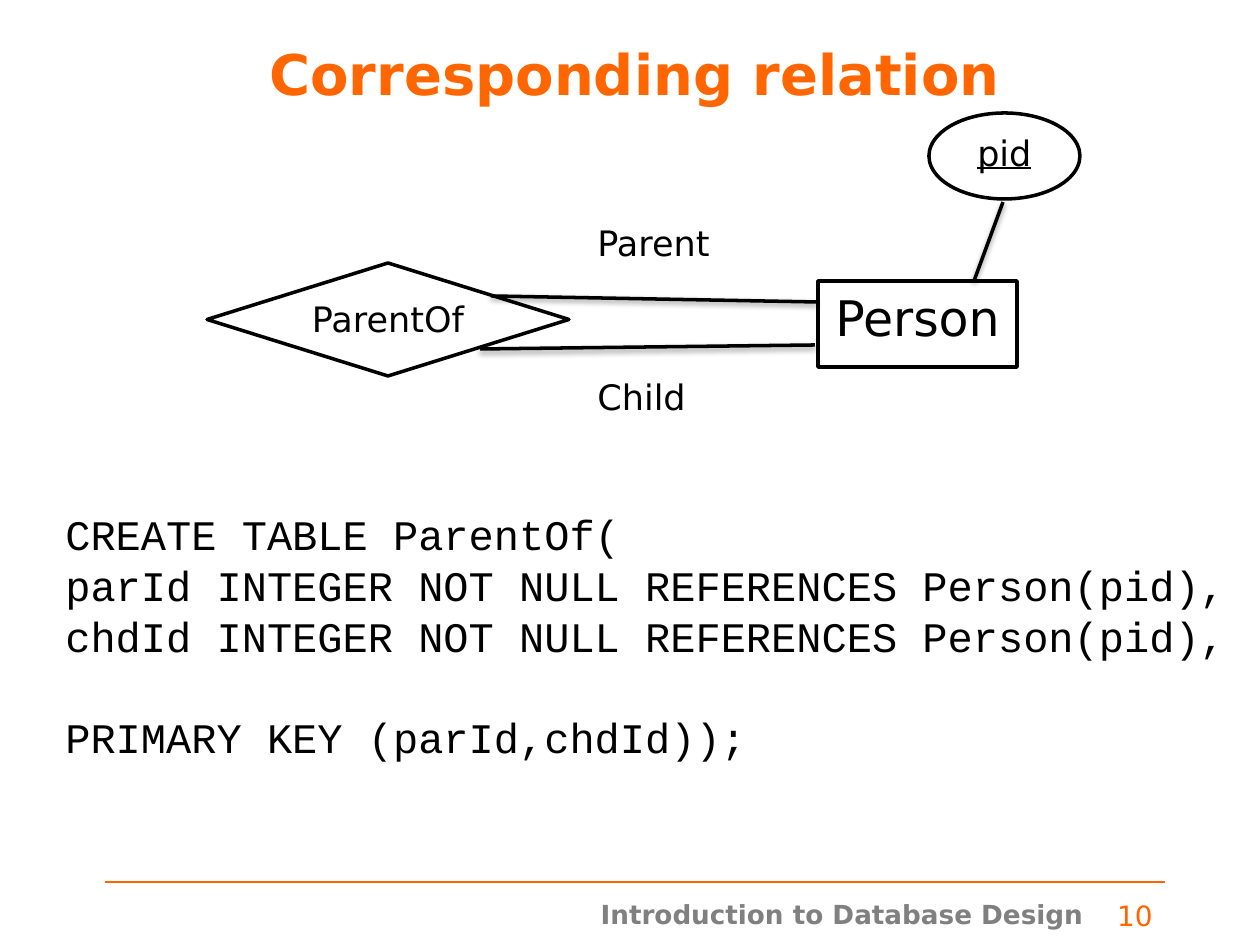
from lxml.etree import SubElement
from pptx import Presentation
from pptx.dml.color import RGBColor
from pptx.enum.shapes import MSO_CONNECTOR as Connector, MSO_SHAPE as Shape
from pptx.enum.text import MSO_ANCHOR as Anchor, PP_ALIGN as Align
from pptx.oxml.ns import qn
from pptx.util import Pt

EMU_PER_PX = 914400 / 126
ORANGE, GREY, BLACK, WHITE = "FF6600", "808080", "000000", "FFFFFF"
SANS, MONO = "DejaVu Sans", "Courier New"


def px(*lengths):
    return [round(length * EMU_PER_PX) for length in lengths]


def color(hex_string):
    return RGBColor.from_string(hex_string)


def add_run(paragraph, text, size, ink=BLACK, font=SANS, bold=False, underline=False):
    run = paragraph.add_run()
    run.text = text
    run.font.name = font
    run.font.size = Pt(size)
    run.font.bold = bold
    run.font.underline = underline
    run.font.color.rgb = color(ink)


def add_line(slide, start, end, ink=BLACK, width=2, shadow=False):
    line = slide.shapes.add_connector(Connector.STRAIGHT, *px(*start, *end))
    line.line.color.rgb = color(ink)
    line.line.width = Pt(width)
    effects = SubElement(line._element.spPr, qn("a:effectLst"))
    if shadow:
        outer = SubElement(effects, qn("a:outerShdw"), blurRad="40000", dist="20000",
                           dir="5400000", rotWithShape="0")
        shade = SubElement(outer, qn("a:srgbClr"), val=BLACK)
        SubElement(shade, qn("a:alpha"), val="38000")


def add_node(slide, kind, box, text, size=20, outline=BLACK, align=Align.CENTER,
             underline=False):
    node = slide.shapes.add_shape(kind, *px(*box))
    node.shadow.inherit = False
    node.fill.solid()
    node.fill.fore_color.rgb = color(WHITE)
    node.line.color.rgb = color(outline)
    node.line.width = Pt(2)
    node.text_frame.word_wrap = True
    node.text_frame.vertical_anchor = Anchor.TOP
    paragraph = node.text_frame.paragraphs[0]
    paragraph.alignment = align
    add_run(paragraph, text, size, underline=underline)


def add_text_box(slide, box):
    frame = slide.shapes.add_textbox(*px(*box)).text_frame
    frame.word_wrap = True
    return frame


def add_title(slide, box):
    title = slide.shapes.title
    title.left, title.top, title.width, title.height = px(*box)
    title.text_frame.vertical_anchor = Anchor.MIDDLE
    paragraph = title.text_frame.paragraphs[0]
    paragraph.alignment = Align.CENTER
    add_run(paragraph, "Corresponding relation", 32, ORANGE, bold=True)


def add_er_diagram(slide, left, top):
    def at(x, y, *size):
        return (left + x, top + y, *size)

    for role, y in (("Parent", 102), ("Child", 256)):
        add_node(slide, Shape.RECTANGLE, at(378, y, 144, 55), role,
                 outline=WHITE, align=Align.LEFT)
    add_node(slide, Shape.DIAMOND, at(0, 150, 362, 113), "ParentOf")
    add_node(slide, Shape.FLOWCHART_PROCESS, at(611, 168, 199, 86), "Person", 28)
    add_node(slide, Shape.OVAL, at(722, 0, 151, 86), "pid", underline=True)
    for start, end in (((284, 183), (609, 189)),
                       ((273, 236), (608, 232)),
                       ((796, 89), (767, 168))):
        add_line(slide, at(*start), at(*end), shadow=True)


def add_sql(slide, box):
    statements = (
        ("CREATE TABLE ParentOf(", 0),
        ("parId INTEGER NOT NULL REFERENCES Person(pid),", 0),
        ("chdId INTEGER NOT NULL REFERENCES Person(pid),", 0),
        ("PRIMARY KEY (parId,chdId));", 29),
    )
    frame = add_text_box(slide, box)
    for index, (statement, gap) in enumerate(statements):
        paragraph = frame.add_paragraph() if index else frame.paragraphs[0]
        paragraph.line_spacing = Pt(29)
        paragraph.space_before = Pt(gap)
        add_run(paragraph, statement, 24, font=MONO)


def add_footer(slide, left, top, width):
    right = left + width
    add_line(slide, (left, top), (right, top), ORANGE, 0.75)
    course = add_text_box(slide, (left + 478, top + 10, 518, 44)).paragraphs[0]
    course.alignment = Align.CENTER
    add_run(course, "Introduction to Database Design", 15, GREY, bold=True)
    number = add_text_box(slide, (right - 84, top + 10, 84, 53)).paragraphs[0]
    number.alignment = Align.RIGHT
    add_run(number, "10", 16, ORANGE)


def main():
    deck = Presentation()
    deck.slide_width, deck.slide_height = px(1260, 945)
    slide = deck.slides.add_slide(deck.slide_layouts[5])
    add_footer(slide, 105, 882, 1060)
    add_title(slide, (105, 0, 1060, 147))
    add_er_diagram(slide, 207, 113)
    add_sql(slide, (53, 502, 1207, 217))
    deck.save("out.pptx")


if __name__ == "__main__":
    main()
